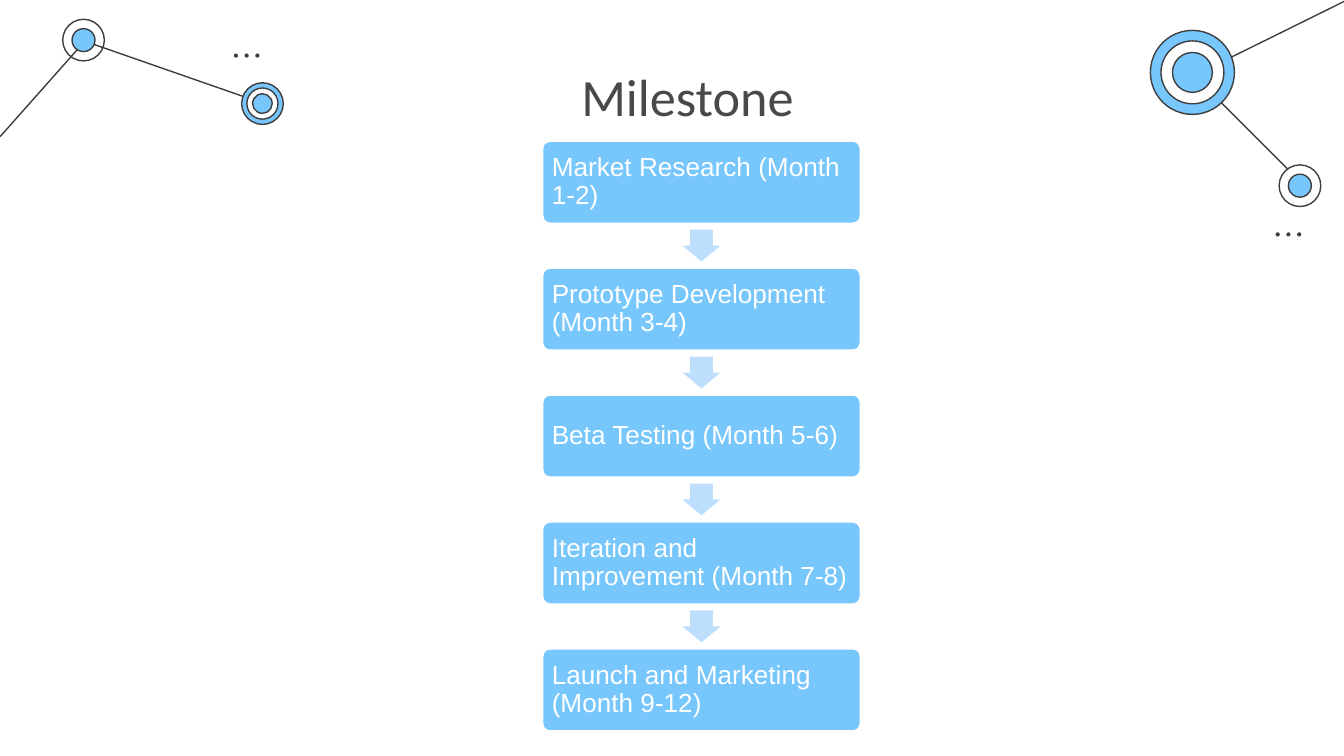
from pptx import Presentation
from pptx.dml.color import RGBColor
from pptx.enum.shapes import MSO_CONNECTOR, MSO_SHAPE as SHAPE
from pptx.enum.text import MSO_ANCHOR as ANCHOR, PP_ALIGN as ALIGN
from pptx.oxml.ns import qn
from pptx.util import Pt
from lxml.etree import SubElement

TITLE = "Milestone"
STEPS = [
    "Market Research (Month 1-2)",
    "Prototype Development (Month 3-4)",
    "Beta Testing (Month 5-6)",
    "Iteration and Improvement (Month 7-8)",
    "Launch and Marketing (Month 9-12)",
]
THEME = {
    "ink": "3D3D3D", "title": "494949", "blue": "77C6FC", "pale": "BDDFFD",
    "white": "FFFFFF", "title_font": "Calibri", "step_font": "Arial",
    "title_size": 28, "step_size": 14, "hairline": 0.75, "box_line": 2,
}
LINKS = [
    ((696.5, 97.2), (638.8, 39.6)),
    ((46, 22.3), (141, 55.4)),
    ((0, 73.3), (45.5, 22)),
    ((720, 0.8), (641.5, 39.6)),
]
NODES = [
    ((44.75, 21.5), [(22.3, None), (12.3, "blue")]),
    ((140.6, 55.5), [(22.3, "blue"), (16.7, "white"), (10.5, "blue")]),
    ((638.8, 38.8), [(45, "blue"), (33.7, "white"), (21.4, "blue")]),
    ((696.4, 99.5), [(22.3, "white"), (12.3, "blue")]),
]
DOTS = [(126.4, 29.8), (684.5, 125.6)]
DOT_SIZE, DOT_COUNT, DOT_PITCH = 2.2, 3, 5.75
CENTER_X, STEP_TOP, STEP_W, STEP_H, PITCH = 375.8, 75, 171.4, 45.2, 68
ARROW_W, ARROW_H = 20.4, 17


def color(name):
    return RGBColor.from_string(THEME[name])


def add_shape(kind, x, y, w, h, fill, line=None, width=0):
    sp = s.shapes.add_shape(kind, Pt(x), Pt(y), Pt(w), Pt(h))
    sp.shadow.inherit = False
    if fill:
        sp.fill.solid()
        sp.fill.fore_color.rgb = color(fill)
    else:
        sp.fill.background()
    if line:
        sp.line.color.rgb = color(line)
        sp.line.width = Pt(width)
    else:
        sp.line.fill.background()
    return sp


def add_circle(cx, cy, size, fill, line=None):
    add_shape(SHAPE.OVAL, cx - size / 2, cy - size / 2, size, size,
              fill, line, THEME["hairline"])


def set_text(tf, text, font, size, ink, align, margins):
    tf.word_wrap = True
    tf.margin_left, tf.margin_top, tf.margin_right, tf.margin_bottom = map(Pt, margins)
    p = tf.paragraphs[0]
    p.text = text
    p.alignment = align
    p.font.name = THEME[font]
    p.font.size = Pt(THEME[size])
    p.font.color.rgb = color(ink)
    return p


prs = Presentation()
prs.slide_width, prs.slide_height = Pt(720), Pt(405)
s = prs.slides.add_slide(prs.slide_layouts[6])

for start, end in LINKS:
    link = s.shapes.add_connector(MSO_CONNECTOR.STRAIGHT, *map(Pt, start + end))
    link.line.color.rgb = color("ink")
    link.line.width = Pt(THEME["hairline"])
    SubElement(link._element.spPr, qn("a:effectLst"))

for (cx, cy), rings in NODES:
    for size, fill in rings:
        add_circle(cx, cy, size, fill, "ink")

for x, y in DOTS:
    for i in range(DOT_COUNT):
        add_circle(x + i * DOT_PITCH, y, DOT_SIZE, "ink")

for i, step in enumerate(STEPS):
    top = STEP_TOP + i * PITCH
    box = add_shape(SHAPE.ROUNDED_RECTANGLE, CENTER_X - STEP_W / 2, top,
                    STEP_W, STEP_H, "blue", "white", THEME["box_line"])
    box.adjustments[0] = 0.1
    tf = box.text_frame
    tf.vertical_anchor = ANCHOR.MIDDLE
    p = set_text(tf, step, "step_font", "step_size", "white", ALIGN.LEFT, (4.2, 4.2, 3, 4.2))
    p.line_spacing = 0.9
    if i < len(STEPS) - 1:
        gap_middle = top + (STEP_H + PITCH) / 2
        arrow = add_shape(SHAPE.DOWN_ARROW, CENTER_X - ARROW_W / 2,
                          gap_middle - ARROW_H / 2, ARROW_W, ARROW_H, "pale")
        arrow.adjustments[0] = 0.6
        arrow.adjustments[1] = 0.5

title = s.shapes.add_textbox(Pt(131.8), Pt(27.4), Pt(473), Pt(46.8))
set_text(title.text_frame, TITLE, "title_font", "title_size", "title", ALIGN.CENTER, (7.2,) * 4)

prs.save("out.pptx")
